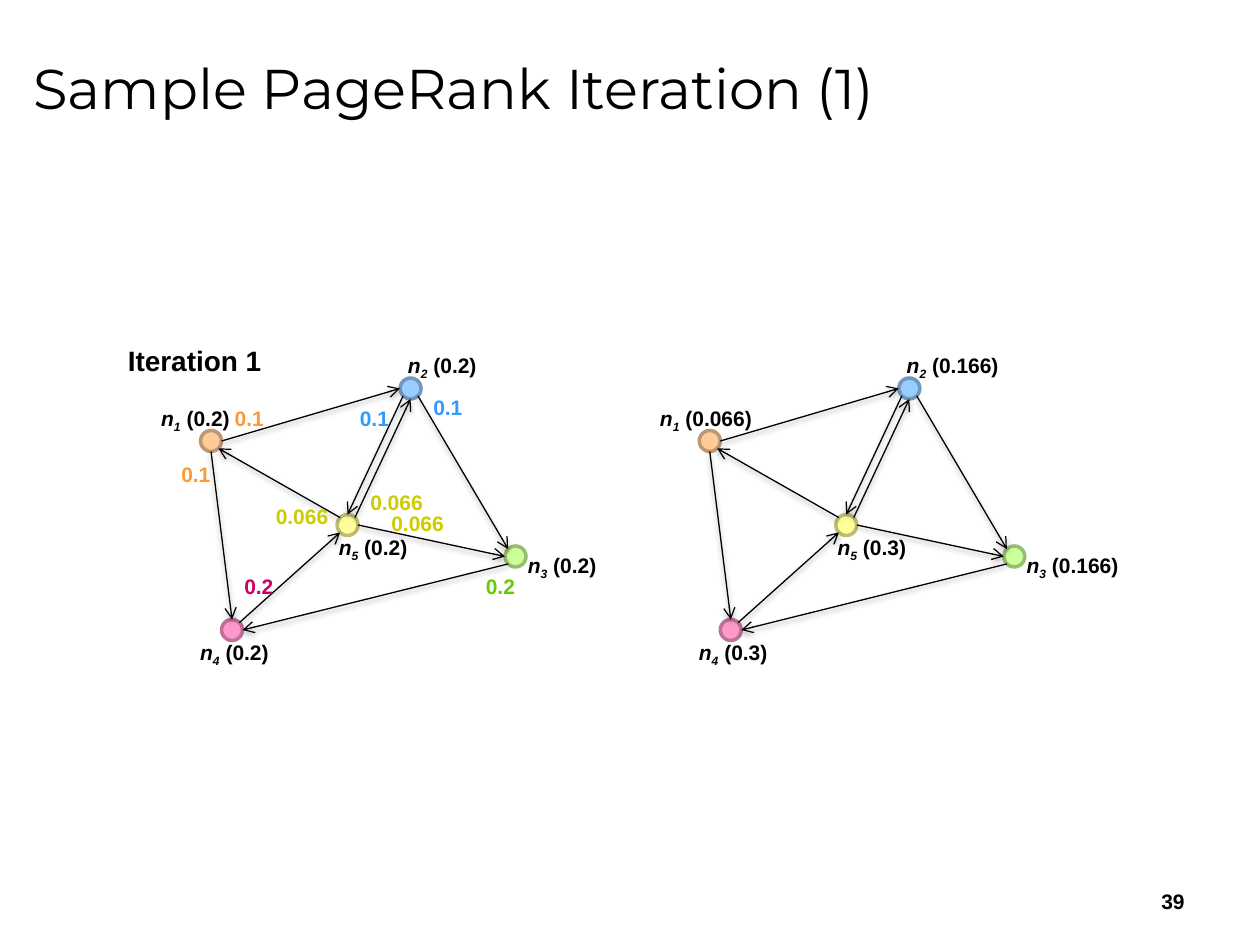
import math

import pptx
import pptx.dml.color
import pptx.enum.shapes
import pptx.enum.text
import pptx.oxml
import pptx.oxml.ns
import pptx.util

Pt = pptx.util.Pt
RGBColor = pptx.dml.color.RGBColor
ANCHOR = pptx.enum.text.MSO_ANCHOR
ALIGN = pptx.enum.text.PP_ALIGN

BLACK = RGBColor(0x00, 0x00, 0x00)
ORANGE = RGBColor(0xFF, 0x99, 0x33)
BLUE = RGBColor(0x33, 0x99, 0xFF)
MAGENTA = RGBColor(0xCC, 0x00, 0x66)
GREEN = RGBColor(0x66, 0xCC, 0x00)
OLIVE = RGBColor(0xCC, 0xCC, 0x00)

NODE_RADIUS = 6
GRAPH_SHIFT = 285

# Node: centre x, centre y, fill, outline, label left, label top
NODES = {
    1: (120.6, 252, RGBColor(0xFF, 0xCC, 0x99), RGBColor(0xBD, 0x97, 0x71), 85, 228),
    2: (234.6, 222, RGBColor(0x99, 0xCC, 0xFF), RGBColor(0x71, 0x97, 0xBD), 226, 198),
    4: (132.6, 360, RGBColor(0xFF, 0x99, 0xCC), RGBColor(0xBD, 0x71, 0x97), 107.3, 362),
    3: (294.6, 318, RGBColor(0xCC, 0xFF, 0x99), RGBColor(0x97, 0xBD, 0x71), 294.5, 312),
    5: (198.6, 300, RGBColor(0xFF, 0xFF, 0x99), RGBColor(0xBD, 0xBD, 0x71), 186.5, 302),
}

# Edge: from node, angle on its rim, to node, angle on its rim (clockwise from right)
EDGES = [
    (1, 0, 2, 180), (5, 225, 1, 45), (1, 90, 4, 270),
    (4, 315, 5, 135), (5, 315, 2, 90), (2, 45, 3, 225),
    (5, 0, 3, 180), (3, 135, 4, 0), (2, 135, 5, 270),
]

# Mass sent along each edge: text, left, top, colour
MASSES = [
    ("0.1", 127, 228, ORANGE), ("0.1", 96.5, 260, ORANGE),
    ("0.2", 132.5, 324, MAGENTA), ("0.2", 270.5, 324, GREEN),
    ("0.1", 198.5, 228, BLUE), ("0.1", 240.5, 222, BLUE),
    ("0.066", 150.5, 284, OLIVE), ("0.066", 216.5, 288, OLIVE),
    ("0.066", 204.5, 276, OLIVE),
]

EDGE_EFFECT = (
    '<a:effectLst %s><a:outerShdw blurRad="%d" dist="%d" dir="5400000" rotWithShape="0">'
    '<a:srgbClr val="000000"><a:alpha val="38000"/></a:srgbClr></a:outerShdw></a:effectLst>'
    % (pptx.oxml.ns.nsdecls("a"), Pt(3.1), Pt(1.6))
)


def add_run(paragraph, text, size, color=BLACK, font="Arial", bold=True, italic=False):
    run = paragraph.add_run()
    run.text = text
    run.font.name, run.font.size = font, Pt(size)
    run.font.bold, run.font.italic = bold, italic
    run.font.color.rgb = color
    return run


def add_text_box(shapes, left, top, width, height, wrap=False):
    """Add an empty text box and return its text frame."""
    frame = shapes.add_textbox(Pt(left), Pt(top), Pt(width), Pt(height)).text_frame
    frame.word_wrap = wrap
    if wrap:
        frame.vertical_anchor = ANCHOR.MIDDLE
    else:
        frame.auto_size = pptx.enum.text.MSO_AUTO_SIZE.SHAPE_TO_FIT_TEXT
    return frame


def add_node(shapes, x, y, fill, outline):
    node = shapes.add_shape(
        pptx.enum.shapes.MSO_SHAPE.OVAL, Pt(x - NODE_RADIUS), Pt(y - NODE_RADIUS),
        Pt(2 * NODE_RADIUS), Pt(2 * NODE_RADIUS))
    node.shadow.inherit = False
    node.fill.solid()
    node.fill.fore_color.rgb = fill
    node.line.color.rgb = outline
    node.line.width = Pt(2)


def rim_point(number, angle, shift):
    x, y = NODES[number][:2]
    turn = math.radians(angle)
    return (Pt(x + shift + NODE_RADIUS * math.cos(turn)),
            Pt(y + NODE_RADIUS * math.sin(turn)))


def add_edge(shapes, start, end):
    edge = shapes.add_connector(pptx.enum.shapes.MSO_CONNECTOR.STRAIGHT, *start, *end)
    edge.line.color.rgb = BLACK
    edge.line.width = Pt(0.75)
    arrowhead = pptx.oxml.parse_xml(
        '<a:tailEnd %s type="arrow"/>' % pptx.oxml.ns.nsdecls("a"))
    edge.line._get_or_add_ln().append(arrowhead)
    edge._element.spPr.append(pptx.oxml.parse_xml(EDGE_EFFECT))


def add_node_label(shapes, number, rank, left, top):
    width = 68 if len(rank) > 3 else 55 if number in (1, 4) else 57
    label = add_text_box(shapes, left, top, width, 21.6).paragraphs[0]
    add_run(label, "n", 12, italic=True)
    subscript = add_run(label, str(number), 12, italic=True)
    subscript._r.get_or_add_rPr().set("baseline", "-25000")
    add_run(label, f" ({rank})", 12)


def add_graph(shapes, ranks, shift=0):
    for x, y, fill, outline, _, _ in NODES.values():
        add_node(shapes, x + shift, y, fill, outline)
    for source, leaving, target, arriving in EDGES:
        add_edge(shapes, rim_point(source, leaving, shift),
                 rim_point(target, arriving, shift))
    for number, (_, _, _, _, left, top) in NODES.items():
        add_node_label(shapes, number, ranks[number], left + shift, top)


def add_mass(shapes, text, left, top, color):
    width = 44.6 if len(text) > 3 else 31.6
    mass = add_text_box(shapes, left, top, width, 21.6)
    add_run(mass.paragraphs[0], text, 12, color)


def main():
    deck = pptx.Presentation()
    deck.slide_width, deck.slide_height = Pt(720), Pt(540)
    slide = deck.slides.add_slide(deck.slide_layouts[6])
    shapes = slide.shapes

    # Title
    title = add_text_box(shapes, 12, 9, 684, 81, wrap=True)
    add_run(title.paragraphs[0], "Sample PageRank Iteration (1)", 32,
            font="Montserrat", bold=False)

    # Graph before the iteration, with the mass passed along its edges
    add_graph(shapes, dict.fromkeys(NODES, "0.2"))
    for mass in MASSES:
        add_mass(shapes, *mass)

    # Graph after the iteration
    updated_ranks = {1: "0.066", 2: "0.166", 3: "0.166", 4: "0.3", 5: "0.3"}
    add_graph(shapes.add_group_shape().shapes, updated_ranks, GRAPH_SHIFT)

    # Iteration heading
    heading = add_text_box(shapes, 66, 193, 92, 26.6)
    add_run(heading.paragraphs[0], "Iteration 1", 16)

    # Page number
    page_number = add_text_box(shapes, 516, 500.5, 168, 29, wrap=True).paragraphs[0]
    page_number.alignment = ALIGN.RIGHT
    add_run(page_number, "39", 12)

    deck.save("out.pptx")


if __name__ == "__main__":
    main()
